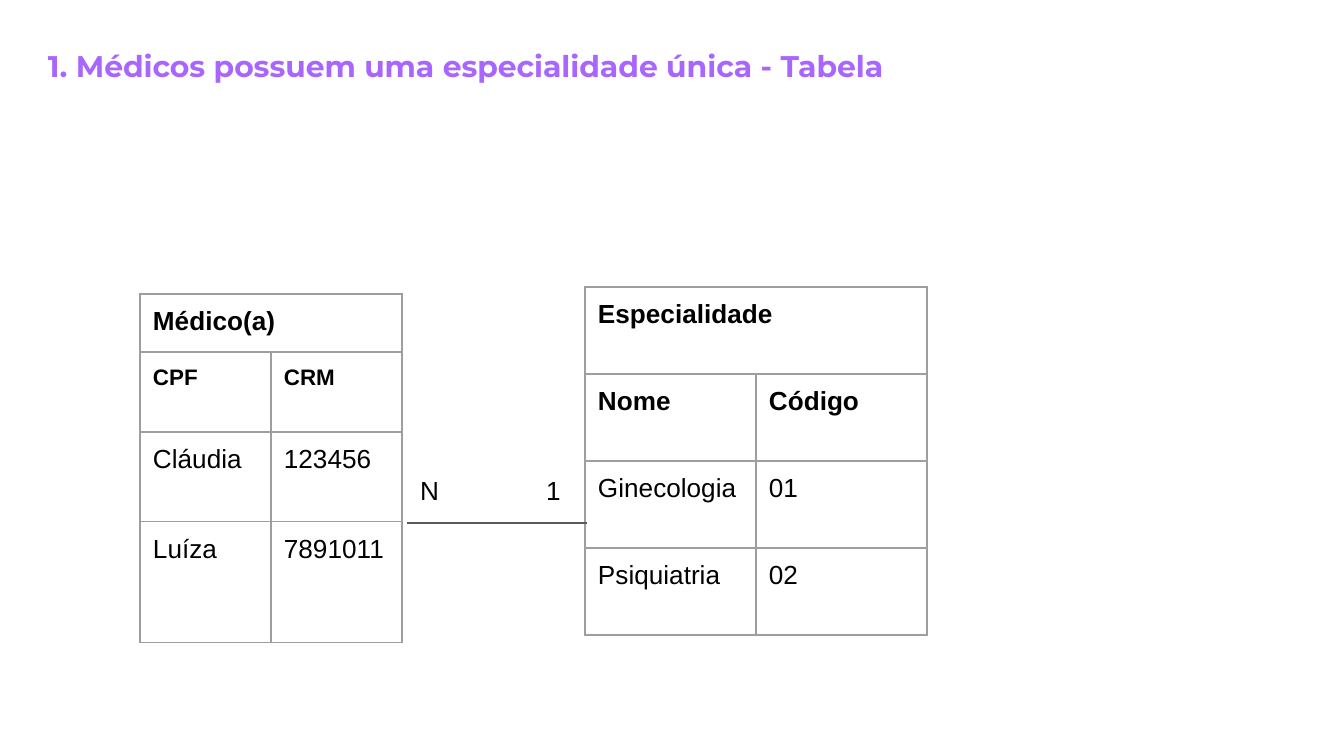
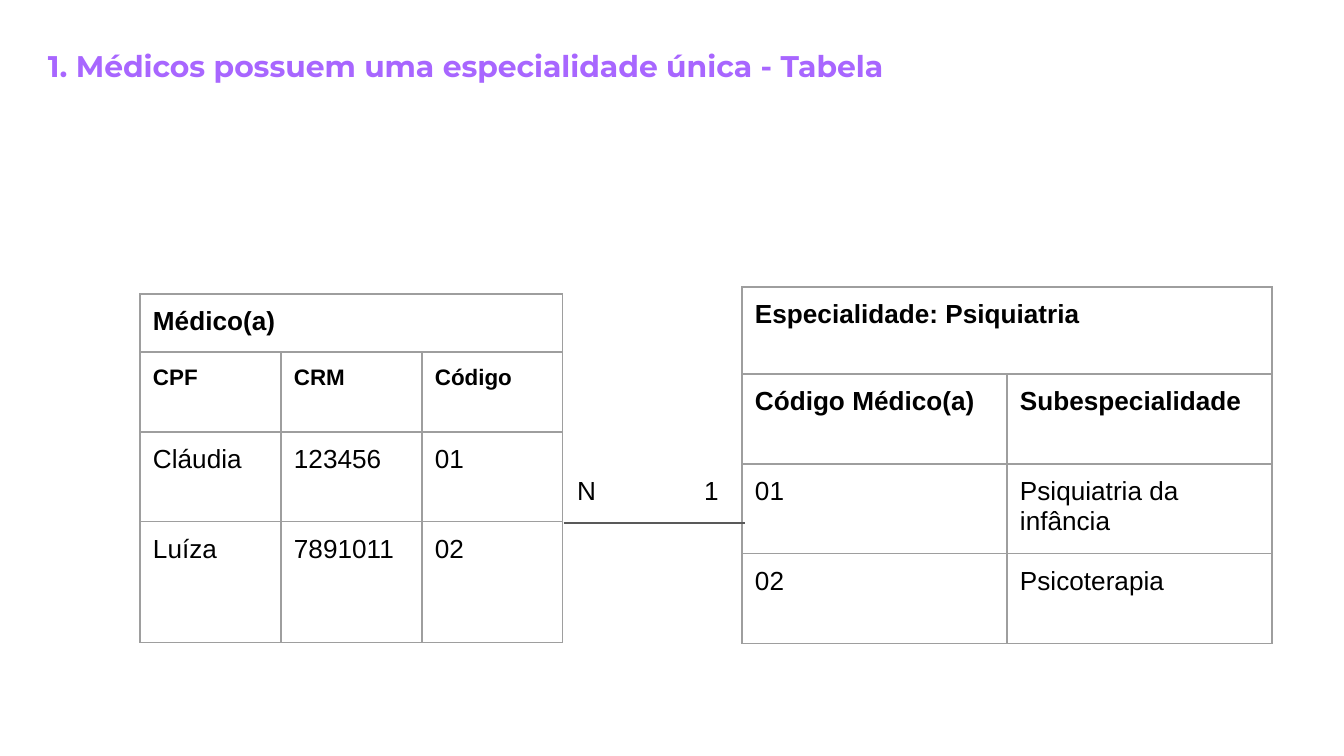
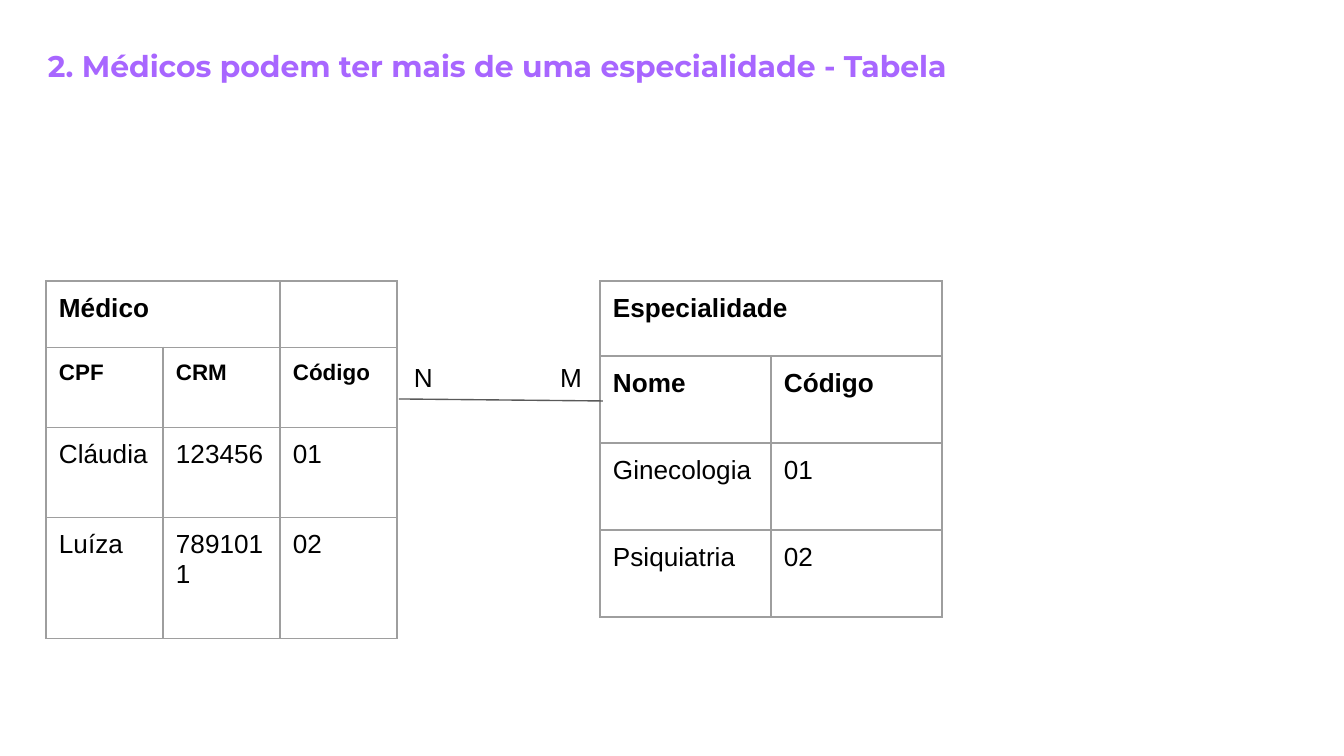
from collections import namedtuple
from dataclasses import dataclass

import lxml.etree
import pptx
import pptx.dml.color
import pptx.enum.shapes
import pptx.enum.text
import pptx.oxml.ns
import pptx.util

EMU_PER_PX = 914400 / 134.4
Box = namedtuple("Box", "left top width height")


@dataclass(frozen=True)
class Theme:
    title_color: str = "A866FF"
    text_color: str = "000000"
    border_color: str = "9E9E9E"
    line_color: str = "595959"
    title_font: str = "Montserrat"
    body_font: str = "Arial"
    title_size: int = 16
    body_size: int = 14
    small_size: int = 12
    line_width: float = 0.75
    inset: int = 13


THEME = Theme()
TITLE_BOX = Box(35, 35, 1161, 63)
LABEL_WIDTH, LABEL_HEIGHT = 54, 59
DOCTOR_ROWS = [58, 80, 90, 121]
UNIQUE_TITLE = "1. Médicos possuem uma especialidade única - Tabela"
MULTIPLE_TITLE = "2. Médicos podem ter mais de uma especialidade - Tabela"
DOCTORS = [["CPF", "CRM"], ["Cláudia", "123456"], ["Luíza", "7891011"]]
CODES = ["Código", "01", "02"]
CODED_DOCTORS = [row + [code] for row, code in zip(DOCTORS, CODES)]
SPECIALTIES = [["Nome", "Código"], ["Ginecologia", "01"], ["Psiquiatria", "02"]]
SUBSPECIALTIES = [["Código Médico(a)", "Subespecialidade"],
                  ["01", "Psiquiatria da infância"], ["02", "Psicoterapia"]]


def px(length):
    return pptx.util.Emu(round(length * EMU_PER_PX))


def rgb(color):
    return pptx.dml.color.RGBColor.from_string(color)


def write(holder, text, size, bold=False, font=THEME.body_font, color=THEME.text_color):
    """Fill a text box or a table cell with one line of styled text."""
    holder.margin_left = holder.margin_right = px(THEME.inset)
    holder.margin_top = holder.margin_bottom = px(THEME.inset)
    if not text:
        return
    holder.text = text
    frame = getattr(holder, "text_frame", holder)
    style = frame.paragraphs[0].runs[0].font
    style.name, style.size, style.bold = font, pptx.util.Pt(size), bold
    style.color.rgb = rgb(color)


def add_text(slide, box, text, size, **style):
    frame = slide.shapes.add_textbox(*map(px, box)).text_frame
    frame.word_wrap = True
    frame.auto_size = pptx.enum.text.MSO_AUTO_SIZE.SHAPE_TO_FIT_TEXT
    write(frame, text, size, **style)


def add_title(slide, title):
    add_text(slide, TITLE_BOX, title, THEME.title_size, bold=True,
             font=THEME.title_font, color=THEME.title_color)


def outline_cell(cell):
    properties = cell._tc.get_or_add_tcPr()
    for side in ("a:lnL", "a:lnR", "a:lnT", "a:lnB"):
        border = lxml.etree.SubElement(properties, pptx.oxml.ns.qn(side),
                                       w=str(pptx.util.Pt(THEME.line_width)))
        fill = lxml.etree.SubElement(border, pptx.oxml.ns.qn("a:solidFill"))
        lxml.etree.SubElement(fill, pptx.oxml.ns.qn("a:srgbClr"), val=THEME.border_color)
    cell.fill.background()


def add_entity(slide, left, top, column_width, row_heights, name, records,
               header_size=THEME.body_size, name_span=None):
    """Draw an entity: its name, a row of field names, then its records."""
    column_count = len(records[0])
    box = Box(left, top, column_width * column_count, sum(row_heights))
    table = slide.shapes.add_table(len(row_heights), column_count, *map(px, box)).table
    table.first_row = table.horz_banding = False
    for column in table.columns:
        column.width = px(column_width)
    for row, height in zip(table.rows, row_heights):
        row.height = px(height)

    name_row = [name] + [""] * (column_count - 1)
    for row_index, texts in enumerate([name_row] + records):
        size = header_size if row_index == 1 else THEME.body_size
        for column_index, text in enumerate(texts):
            cell = table.cell(row_index, column_index)
            write(cell, text, size, bold=row_index < 2)
            outline_cell(cell)
    table.cell(0, 0).merge(table.cell(0, (name_span or column_count) - 1))


def add_doctors(slide, left, top, column_width, name, records, name_span=None):
    add_entity(slide, left, top, column_width, DOCTOR_ROWS, name, records,
               THEME.small_size, name_span)


def add_relationship(slide, box, start_label, end_label, label_inset=0, drop=0):
    """Run a line along the bottom of the box, with a label over each end."""
    right, bottom = box.left + box.width, box.top + box.height
    line = slide.shapes.add_connector(
        pptx.enum.shapes.MSO_CONNECTOR.STRAIGHT,
        px(box.left), px(bottom), px(right), px(bottom + drop))
    line.line.color.rgb = rgb(THEME.line_color)
    line.line.width = pptx.util.Pt(THEME.line_width)
    lxml.etree.SubElement(line._element.spPr, pptx.oxml.ns.qn("a:effectLst"))

    end_left = right - label_inset - LABEL_WIDTH
    for left, label in ((box.left + label_inset, start_label), (end_left, end_label)):
        add_text(slide, Box(left, box.top, LABEL_WIDTH, LABEL_HEIGHT), label, THEME.body_size)


def build_unique_specialty(slide):
    add_title(slide, UNIQUE_TITLE)
    add_doctors(slide, 140, 294, 131, "Médico(a)", DOCTORS)
    add_entity(slide, 585, 287, 171, [87] * 4, "Especialidade", SPECIALTIES)
    add_relationship(slide, Box(407, 461, 180, 62), "N", "1")


def build_subspecialty(slide):
    add_title(slide, UNIQUE_TITLE)
    add_doctors(slide, 140, 294, 141, "Médico(a)", CODED_DOCTORS)
    add_entity(slide, 742, 287, 265, [87, 90, 90, 90],
               "Especialidade: Psiquiatria", SUBSPECIALTIES)
    add_relationship(slide, Box(564, 461, 181, 62), "N", "1")


def build_multiple_specialties(slide):
    add_title(slide, MULTIPLE_TITLE)
    add_doctors(slide, 46, 281, 117, "Médico", CODED_DOCTORS, name_span=2)
    add_entity(slide, 600, 281, 171, [75, 87, 87, 87], "Especialidade", SPECIALTIES)
    add_relationship(slide, Box(399, 348, 204, 51), "N", "M", label_inset=2, drop=2)


def main():
    deck = pptx.Presentation()
    deck.slide_width, deck.slide_height = px(1344), px(756)
    for build in (build_unique_specialty, build_subspecialty, build_multiple_specialties):
        build(deck.slides.add_slide(deck.slide_layouts[6]))
    deck.save("out.pptx")


if __name__ == "__main__":
    main()
